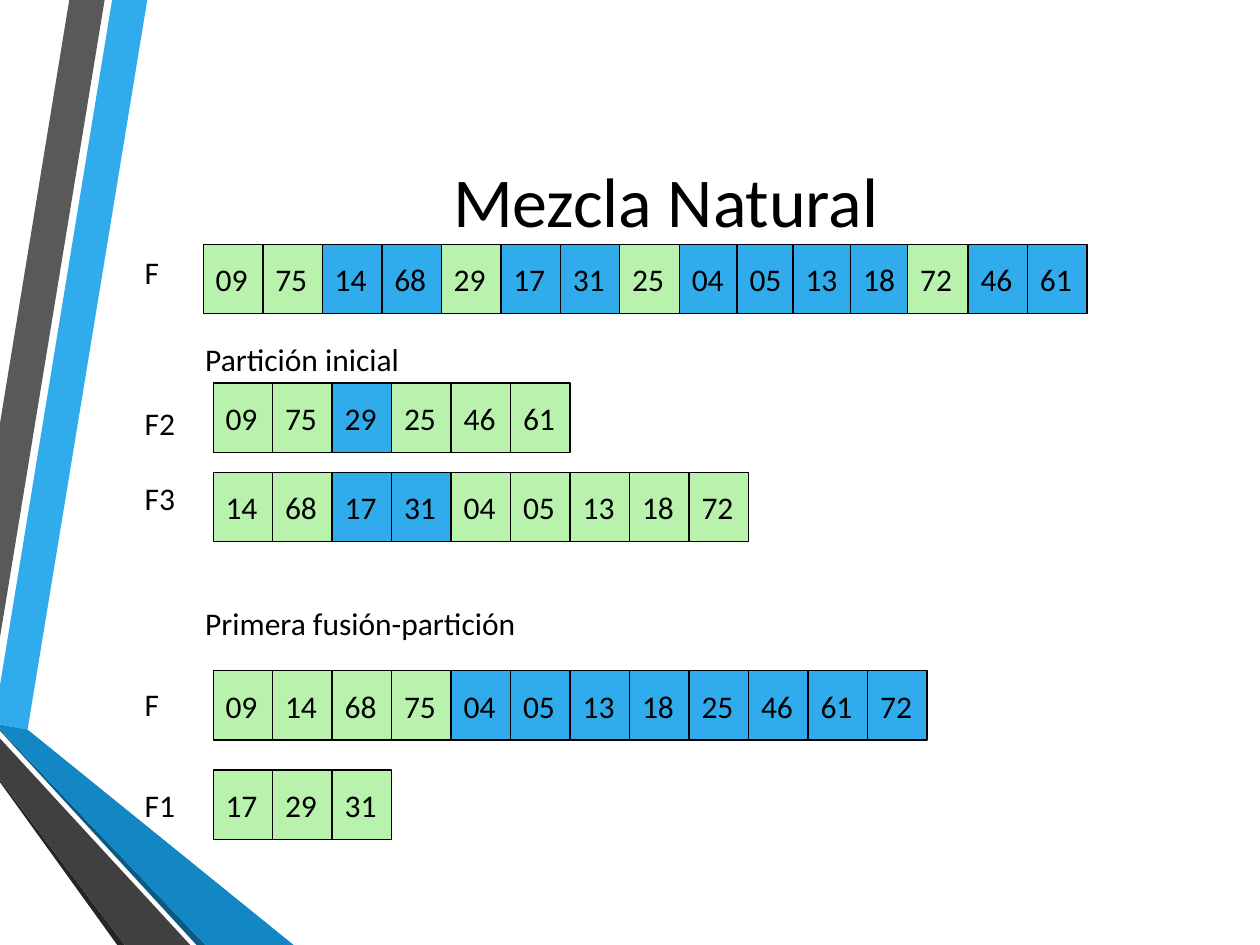
from dataclasses import dataclass
from itertools import accumulate

from pptx import Presentation
from pptx.dml.color import RGBColor
from pptx.enum.shapes import MSO_SHAPE
from pptx.enum.text import MSO_ANCHOR, PP_ALIGN
from pptx.util import Pt

RECTANGLE = MSO_SHAPE.RECTANGLE
TOP, MIDDLE = MSO_ANCHOR.TOP, MSO_ANCHOR.MIDDLE
LEFT, CENTER = PP_ALIGN.LEFT, PP_ALIGN.CENTER


@dataclass(frozen=True)
class Theme:
    font: str = "Calibri"
    title_size: float = 40
    body_size: float = 18
    line_width: float = 0.75
    ink: str = "000000"
    green: str = "B9F2AC"
    blue: str = "30ACEC"
    deep_blue: str = "1287C3"
    dark_blue: str = "0C5A82"
    gray: str = "595959"
    dark_gray: str = "404040"
    charcoal: str = "262626"


class SlideBuilder:
    cell_width = 34
    cell_height = 39.6

    def __init__(self, page, theme):
        self.page = page
        self.theme = theme

    def paint(self, shape, color):
        shape.shadow.inherit = False
        shape.fill.solid()
        shape.fill.fore_color.rgb = RGBColor.from_string(color)

    def style(self, para, size, align=LEFT):
        para.alignment = align
        for span in para.runs:
            span.font.name = self.theme.font
            span.font.size = Pt(size)
            span.font.color.rgb = RGBColor.from_string(self.theme.ink)

    def band(self, color, points):
        corners = [(Pt(x), Pt(y)) for x, y in points]
        outline = self.page.shapes.build_freeform(*corners[0], scale=1.0)
        outline.add_line_segments(corners[1:], close=True)
        shape = outline.convert_to_shape()
        self.paint(shape, color)
        shape.line.fill.background()

    def text(self, area, lines, size, gaps=(0,), align=LEFT, anchor=TOP, wrap=False):
        box = self.page.shapes.add_textbox(*map(Pt, area))
        frame = box.text_frame
        frame.word_wrap = wrap
        frame.vertical_anchor = anchor
        frame.text = "\n".join(lines)
        for para, gap in zip(frame.paragraphs, gaps):
            para.space_before = Pt(gap)
            self.style(para, size, align)

    def cell(self, left, top, value, color):
        box = self.page.shapes.add_shape(
            RECTANGLE, Pt(left), Pt(top), Pt(self.cell_width), Pt(self.cell_height))
        self.paint(box, color)
        box.line.color.rgb = RGBColor.from_string(self.theme.ink)
        box.line.width = Pt(self.theme.line_width)
        frame = box.text_frame
        frame.word_wrap = False
        frame.vertical_anchor = MIDDLE
        frame.text = value
        self.style(frame.paragraphs[0], self.theme.body_size)

    def row(self, left, top, values, blue_values, steps=None):
        names = values.split()
        steps = steps or [self.cell_width] * (len(names) - 1)
        for x, value in zip(accumulate(steps, initial=left), names):
            is_blue = value in blue_values.split()
            self.cell(x, top, value, self.theme.blue if is_blue else self.theme.green)


deck = Presentation()
deck.slide_width, deck.slide_height = Pt(720), Pt(540)
theme = Theme()
slide = SlideBuilder(deck.slides.add_slide(deck.slide_layouts[6]), theme)

BANDS = [
    (theme.blue, [(0, 391.7), (0, 414), (15.8, 416.9), (84.2, 0), (64.1, 0)]),
    (theme.gray, [(59.8, 0), (39.6, 0), (0, 242), (0, 364.3)]),
    (theme.charcoal, [(0, 445.7), (0, 447), (67, 540), (71.3, 540)]),
    (theme.dark_blue, [(0, 416.9), (0, 417.6), (112.3, 540), (117.4, 540)]),
    (theme.deep_blue, [(0, 416.9), (117.4, 540), (167.8, 540), (15.8, 416.9), (0, 414)]),
    (theme.dark_gray, [(0, 445.7), (71.3, 540), (108.7, 540), (0, 422)]),
]
for color, points in BANDS:
    slide.band(color, points)

slide.text((77, 36, 607, 156.2), ["Mezcla Natural"], theme.title_size,
           align=CENTER, anchor=MIDDLE, wrap=True)

SOURCE_STEPS = [34] * 8 + [33, 32, 33, 32.5, 34.5, 34]
slide.row(116.2, 139.7, "09 75 14 68 29 17 31 25 04 05 13 18 72 46 61",
          "14 68 17 31 04 05 13 18 46 61", SOURCE_STEPS)

FILE_ROWS = [
    (218.9, "09 75 29 25 46 61", "29"),
    (270, "14 68 17 31 04 05 13 18 72", "17 31"),
    (383.3, "09 14 68 75 04 05 13 18 25 46 61 72", "04 05 13 18 25 46 61 72"),
    (440, "17 29 31", ""),
]
for top, values, blue_values in FILE_ROWS:
    slide.row(121.8, top, values, blue_values)

slide.text((110.2, 190.8, 204.5, 180), ["Partición inicial", "Primera fusión-partición"],
           theme.body_size, gaps=(0, 129))
slide.text((75.6, 141.1, 35.3, 334), ["F", "F2", "F3", "F", "F1"],
           theme.body_size, gaps=(0, 64.5, 21.5, 96, 36))

deck.save("out.pptx")
